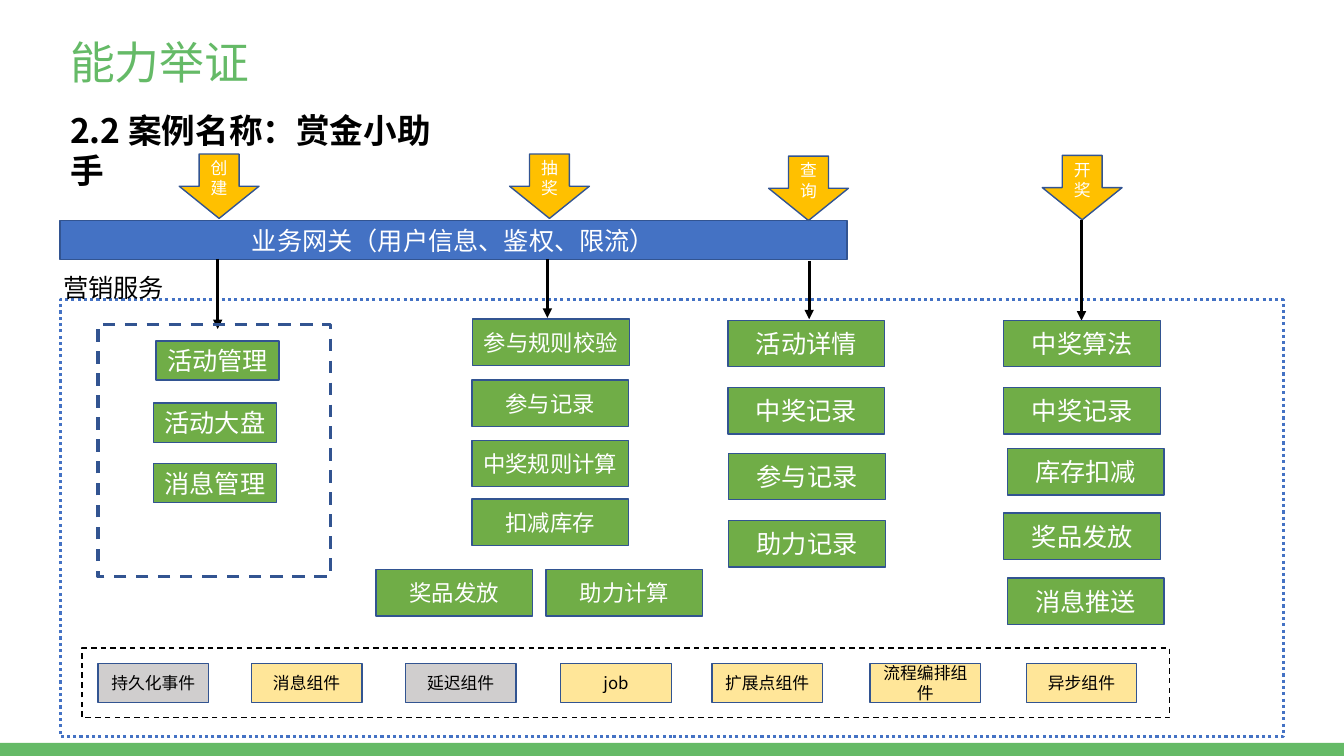
from lxml.etree import SubElement
from pptx import Presentation
from pptx.dml.color import RGBColor
from pptx.enum.dml import MSO_LINE as Dash
from pptx.enum.shapes import MSO_CONNECTOR as Link, MSO_SHAPE as Kind
from pptx.enum.text import MSO_ANCHOR as Anchor, PP_ALIGN as Align
from pptx.oxml.ns import qn
from pptx.util import Pt

FONT = "Noto Sans CJK SC"
WHITE = RGBColor(0xFF, 0xFF, 0xFF)
BLACK = RGBColor(0, 0, 0)
MINT = RGBColor(0x65, 0xBA, 0x67)
GREEN = RGBColor(0x70, 0xAD, 0x47)
BLUE = RGBColor(0x44, 0x72, 0xC4)
NAVY = RGBColor(0x32, 0x54, 0x91)
GOLD = RGBColor(0xFF, 0xC0, 0x00)
CREAM = RGBColor(0xFF, 0xE6, 0x99)
GRAY = RGBColor(0xD0, 0xCE, 0xCE)

ENTRIES = [("创建", 128, 110), ("抽奖", 364, 110),
           ("查询", 549, 111.5), ("开奖", 744.5, 111)]
FLOWS = [(155.5, 185, 235), (391, 185, 227),
         (578, 186.5, 228), (772.5, 157, 229)]
ADMIN = [("活动管理", 111.5, 243.5), ("活动大盘", 109.5, 288),
         ("消息管理", 109.5, 331)]
DRAW = [("参与规则校验", 337.5, 228), ("参与记录", 337, 271.5),
        ("中奖规则计算", 337, 314.5), ("扣减库存", 337, 356.5),
        ("奖品发放", 268.5, 407), ("助力计算", 390, 407)]
QUERY = [("活动详情", 520, 229), ("中奖记录", 520, 277),
         ("参与记录", 520.5, 324), ("助力记录", 520.5, 372)]
AWARD = [("中奖算法", 717, 229), ("中奖记录", 717, 277),
         ("库存扣减", 719.5, 320.5), ("奖品发放", 717, 366.5),
         ("消息推送", 719.5, 413)]
PARTS = [("持久化事件", 70, GRAY), ("消息组件", 179.5, CREAM),
         ("延迟组件", 289.5, GRAY), ("job", 400.5, CREAM),
         ("扩展点组件", 508.5, CREAM), ("流程编排组件", 621.5, CREAM),
         ("异步组件", 733, CREAM)]


def write(frame, text, size=18, color=WHITE, bold=False, align=Align.CENTER,
          anchor=Anchor.MIDDLE, wrap=True, spacing=None):
    frame.word_wrap = wrap
    frame.vertical_anchor = anchor
    para = frame.paragraphs[0]
    para.alignment = align
    para.line_spacing = spacing
    run = para.add_run()
    run.text = text
    font = run.font
    font.name, font.size, font.bold = FONT, Pt(size), bold
    font.color.rgb = color
    SubElement(run._r.get_or_add_rPr(), qn("a:ea"), typeface=FONT)


def label(slide, text, x, y, w, h, **style):
    box = slide.shapes.add_textbox(Pt(x), Pt(y), Pt(w), Pt(h))
    write(box.text_frame, text, align=Align.LEFT, **style)


def block(slide, x, y, w, h, fill=None, line=NAVY, width=1, dash=None,
          kind=Kind.RECTANGLE, text=None, **style):
    shape = slide.shapes.add_shape(kind, Pt(x), Pt(y), Pt(w), Pt(h))
    shape.shadow.inherit = False
    if fill is None:
        shape.fill.background()
    else:
        shape.fill.solid()
        shape.fill.fore_color.rgb = fill
    if line is None:
        shape.line.fill.background()
    else:
        shape.line.color.rgb = line
        shape.line.width = Pt(width)
        shape.line.dash_style = dash
    if text:
        write(shape.text_frame, text, **style)


def flow(slide, x, top, end):
    link = slide.shapes.add_connector(Link.STRAIGHT, Pt(x), Pt(top),
                                      Pt(x), Pt(end))
    link.line.color.rgb = BLACK
    link.line.width = Pt(2.25)
    SubElement(link.line._get_or_add_ln(), qn("a:tailEnd"), type="triangle")
    SubElement(link._element.spPr, qn("a:effectLst"))


def stack(slide, items, w, h, size):
    for text, x, y in items:
        block(slide, x, y, w, h, GREEN, text=text, size=size)


def main():
    deck = Presentation()
    deck.slide_width, deck.slide_height = Pt(960), Pt(540)
    slide = deck.slides.add_slide(deck.slide_layouts[6])

    block(slide, 0, 530.6, 960, 9.4, MINT, line=None)
    label(slide, "能力举证", 43, 15, 765, 63, size=32, color=MINT, spacing=0.9)
    label(slide, "2.2 案例名称：赏金小助手", 43, 75, 294, 36, size=24,
          color=BLACK, bold=True, anchor=Anchor.TOP)
    block(slide, 43, 157.5, 562, 28, BLUE,
          text="业务网关（用户信息、鉴权、限流）")
    block(slide, 43, 214, 874, 312, WHITE, BLUE, 2.25, Dash.ROUND_DOT)
    label(slide, "营销服务", 38, 191, 87, 29, color=BLACK,
          anchor=Anchor.TOP, wrap=False)

    for text, x, y in ENTRIES:
        block(slide, x, y, 57, 46, GOLD, kind=Kind.DOWN_ARROW,
              text=text, size=12)
    for x, top, end in FLOWS:
        flow(slide, x, top, end)

    block(slide, 70, 232, 166, 180, width=2.25, dash=Dash.DASH)
    stack(slide, ADMIN, 88, 28, 18)
    stack(slide, DRAW, 112, 33, 16)
    stack(slide, QUERY, 112, 33, 18)
    stack(slide, AWARD, 112, 33, 18)

    block(slide, 58.5, 463, 777, 49.5, line=BLACK, dash=Dash.DASH)
    for text, x, fill in PARTS:
        block(slide, x, 474, 79, 28, fill, text=text, size=12, color=BLACK)

    deck.save("out.pptx")


if __name__ == "__main__":
    main()
